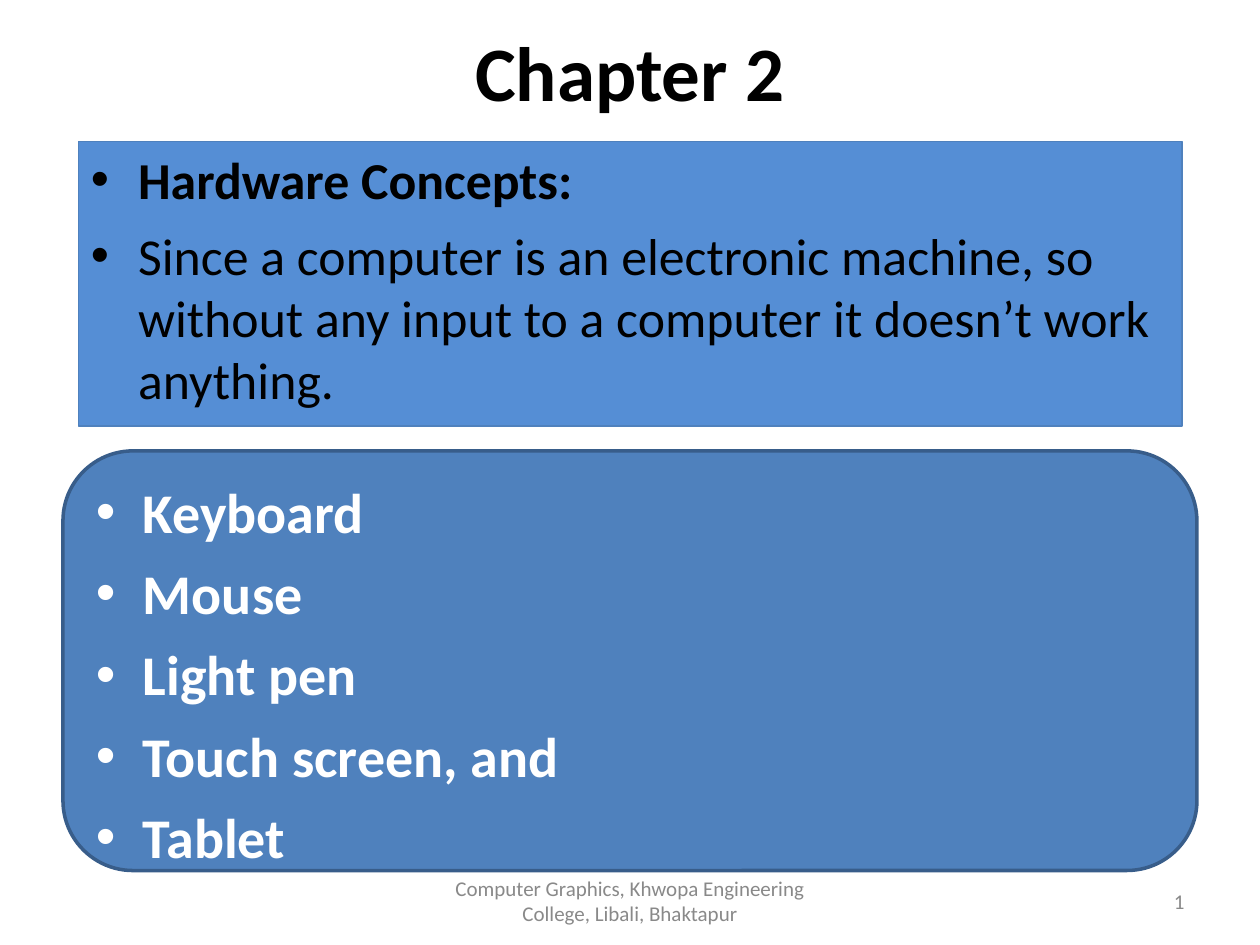
"""Builds the chapter slide on hardware concepts and input devices."""
from lxml import etree
from pptx import Presentation
from pptx.dml.color import RGBColor
from pptx.enum.shapes import MSO_SHAPE
from pptx.enum.text import MSO_ANCHOR, MSO_AUTO_SIZE, PP_ALIGN
from pptx.oxml.ns import qn
from pptx.util import Cm, Pt

ROUNDED = MSO_SHAPE.ROUNDED_RECTANGLE
TOP, MIDDLE = MSO_ANCHOR.TOP, MSO_ANCHOR.MIDDLE
LEFT, CENTER, RIGHT = PP_ALIGN.LEFT, PP_ALIGN.CENTER, PP_ALIGN.RIGHT
NO_FIT = MSO_AUTO_SIZE.NONE

COLORS = {
    "black": "000000",
    "white": "FFFFFF",
    "gray": "898989",
    "sky": "558ED5",
    "blue": "4F81BD",
    "navy": "385D8A",
}


class Deck:
    """Holds the style and the current slide."""

    font = "Calibri"
    indent = Cm(0.95)
    gap = Pt(8)

    def __init__(self, prs):
        self.s = prs.slides.add_slide(prs.slide_layouts[1])

    def color(self, name):
        return RGBColor.from_string(COLORS[name])

    def place(self, sp, box):
        for name, value in zip(("left", "top", "width", "height"), box):
            setattr(sp, name, Cm(value))

    def paint(self, sp, fill, line, width):
        sp.fill.solid()
        sp.fill.fore_color.rgb = self.color(fill)
        sp.line.color.rgb = self.color(line)
        sp.line.width = Pt(width)

    def frame(self, sp, anchor):
        tf = sp.text_frame
        values = {"word_wrap": True, "auto_size": NO_FIT, "vertical_anchor": anchor}
        for name, value in values.items():
            setattr(tf, name, value)
        return tf

    def add_text(self, p, text, size, color, bold=False, align=LEFT):
        p.alignment = align
        r = p.add_run()
        r.text = text
        values = {"name": self.font, "size": Pt(size), "bold": bold}
        for name, value in values.items():
            setattr(r.font, name, value)
        r.font.color.rgb = self.color(color)

    def bullet(self, p, color):
        pPr = p._p.get_or_add_pPr()
        pPr.set("marL", str(self.indent))
        pPr.set("indent", str(-self.indent))
        clr = etree.SubElement(pPr, qn("a:buClr"))
        etree.SubElement(clr, qn("a:srgbClr"), val=COLORS[color])
        etree.SubElement(pPr, qn("a:buFont"), typeface="Arial")
        etree.SubElement(pPr, qn("a:buChar"), char="•")

    def bullets(self, sp, items, size, color):
        tf = self.frame(sp, TOP)
        for i, (text, bold) in enumerate(items):
            p = tf.add_paragraph() if i else tf.paragraphs[0]
            self.bullet(p, color)
            p.space_before = self.gap if i else Pt(0)
            self.add_text(p, text, size, color, bold)

    def title(self, text, box):
        sp = self.s.shapes.title
        self.place(sp, box)
        p = self.frame(sp, MIDDLE).paragraphs[0]
        self.add_text(p, text, 44, "black", True, CENTER)

    def body(self, items, box):
        sp = self.s.placeholders[1]
        self.place(sp, box)
        self.paint(sp, "sky", "blue", 0.75)
        self.bullets(sp, items, 29.6, "black")

    def panel(self, items, box):
        sp = self.s.shapes.add_shape(ROUNDED, *map(Cm, box))
        sp.shadow.inherit = False
        self.paint(sp, "blue", "navy", 2)
        self.bullets(sp, items, 32, "white")

    def footer(self, text, box, align):
        sp = self.s.shapes.add_textbox(*map(Cm, box))
        p = self.frame(sp, MIDDLE).paragraphs[0]
        self.add_text(p, text, 12, "gray", align=align)


def main():
    prs = Presentation()
    prs.slide_width, prs.slide_height = Cm(25.4), Cm(19.05)
    deck = Deck(prs)
    deck.title("Chapter 2", (1.27, 0.2, 22.86, 2.46))
    deck.body(
        [
            ("Hardware Concepts:", True),
            ("Since a computer is an electronic machine, so without any input "
             "to a computer it doesn’t work anything.", False),
        ],
        (1.58, 2.85, 22.25, 5.74),
    )
    devices = ("Keyboard", "Mouse", "Light pen", "Touch screen, and", "Tablet")
    deck.panel([(name, True) for name in devices], (1.27, 9.09, 22.86, 8.46))
    deck.footer("Computer Graphics, Khwopa Engineering College, Libali, Bhaktapur",
                (8.68, 17.65, 8.04, 1.02), CENTER)
    deck.footer("1", (18.2, 17.65, 5.93, 1.02), RIGHT)
    prs.save("out.pptx")


if __name__ == "__main__":
    main()
